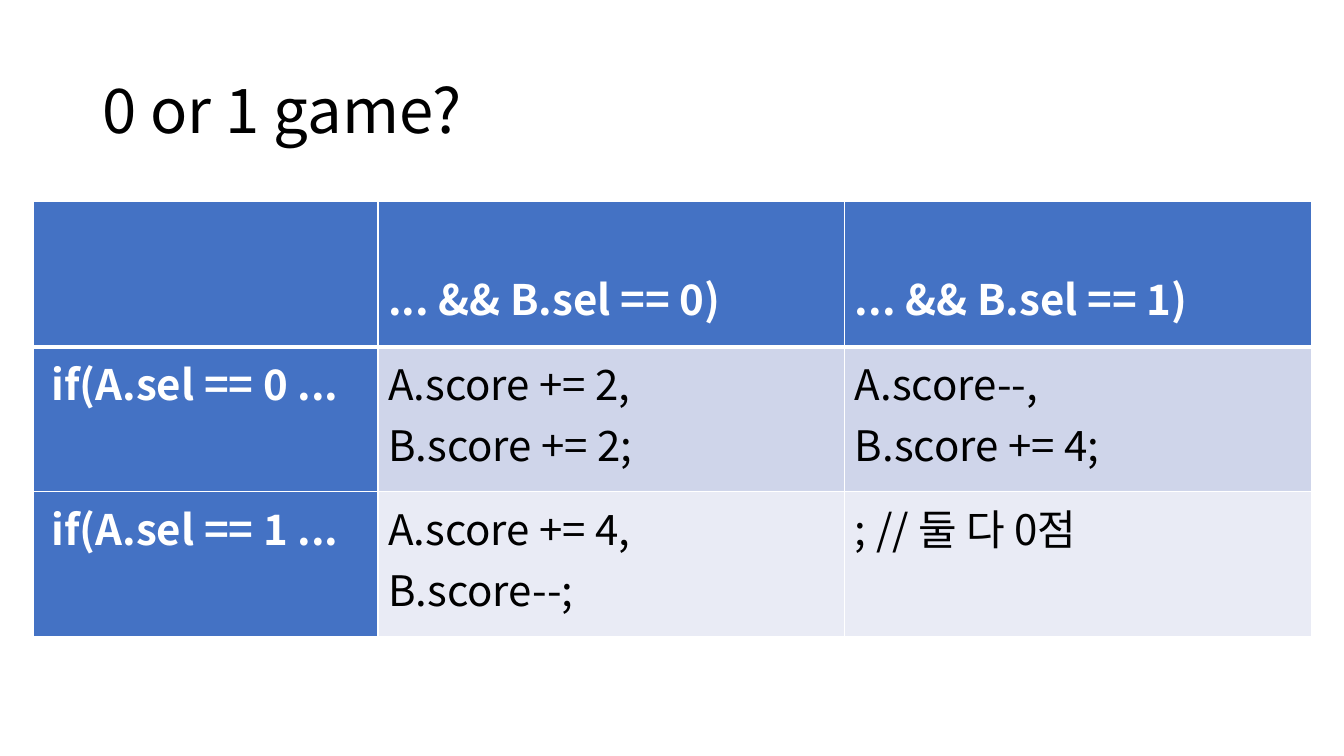
import pptx
import pptx.util
import pptx.dml.color
import pptx.enum.text
from lxml import etree
from pptx.oxml.ns import qn

Inches, Pt = pptx.util.Inches, pptx.util.Pt
RGBColor = pptx.dml.color.RGBColor

FONT = "Noto Sans CJK KR"
BLACK = RGBColor(0x00, 0x00, 0x00)
WHITE = RGBColor(0xFF, 0xFF, 0xFF)
BLUE = RGBColor(0x44, 0x72, 0xC4)
BANDS = [RGBColor(0xCF, 0xD5, 0xEA), RGBColor(0xE9, 0xEB, 0xF5)]


def write(tf, lines, size, color, bold=False):
    """Write one paragraph per line in the slide font."""
    for i, line in enumerate(lines):
        p = tf.paragraphs[0] if i == 0 else tf.add_paragraph()
        r = p.add_run()
        r.text = line
        for name, value in {"name": FONT, "size": Pt(size), "bold": bold}.items():
            setattr(r.font, name, value)
        r.font.color.rgb = color
        etree.SubElement(r.font._element, qn("a:ea"), typeface=FONT)


def add_borders(cell, widths):
    """Give the cell white borders, widths in points by side."""
    tc_pr = cell._tc.get_or_add_tcPr()
    for i, (side, width) in enumerate(widths.items()):
        ln = etree.Element(qn(f"a:ln{side}"), w=str(Pt(width)))
        fill = etree.SubElement(ln, qn("a:solidFill"))
        etree.SubElement(fill, qn("a:srgbClr"), val=str(WHITE))
        tc_pr.insert(i, ln)


prs = pptx.Presentation()
prs.slide_width, prs.slide_height = Inches(13.33), Inches(7.5)
s = prs.slides.add_slide(prs.slide_layouts[6])

# Title
sp = s.shapes.add_textbox(Inches(0.92), Inches(0.4), Inches(11.5), Inches(1.45))
tf = sp.text_frame
tf.word_wrap = True
tf.vertical_anchor = pptx.enum.text.MSO_ANCHOR.MIDDLE
write(tf, ["0 or 1 game?"], 44, BLACK)
tf.paragraphs[0].line_spacing = 0.9

# Score table
rows = [
    [[], ["... && B.sel == 0)"], ["... && B.sel == 1)"]],
    [["if(A.sel == 0 ..."], ["A.score += 2,", "B.score += 2;"],
     ["A.score--,", "B.score += 4;"]],
    [["if(A.sel == 1 ..."], ["A.score += 4,", "B.score--;"],
     ["; // 둘 다 0점"]],
]
table = s.shapes.add_table(3, 3, Inches(0.33), Inches(2),
                           Inches(12.68), Inches(4.32)).table
table.first_col = True
for column, width in zip(table.columns, [3.42, 4.63, 4.63]):
    column.width = Inches(width)

for i, row in enumerate(rows):
    table.rows[i].height = Inches(1.44)
    for j, lines in enumerate(row):
        cell = table.cell(i, j)
        heading = i == 0 or j == 0
        cell.fill.solid()
        cell.fill.fore_color.rgb = BLUE if heading else BANDS[i - 1]
        add_borders(cell, {"L": 1, "R": 1, "T": 3 if i == 1 else 1,
                           "B": 3 if i == 0 else 1})
        write(cell.text_frame, lines, 30, WHITE if heading else BLACK, heading)
        if i == 0:
            cell.margin_top = Inches(0.65)  # level with the second line below
        elif j == 0:
            cell.margin_left = Inches(0.18)

prs.save("out.pptx")
